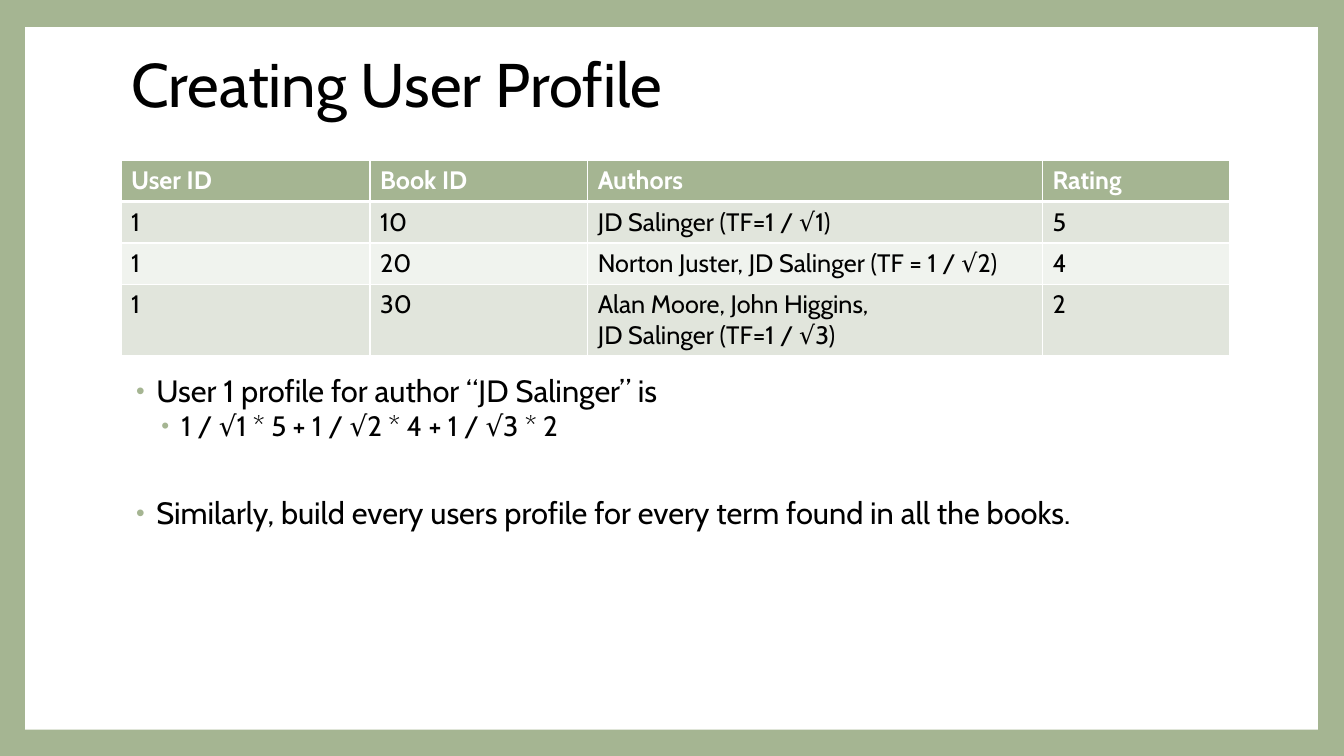
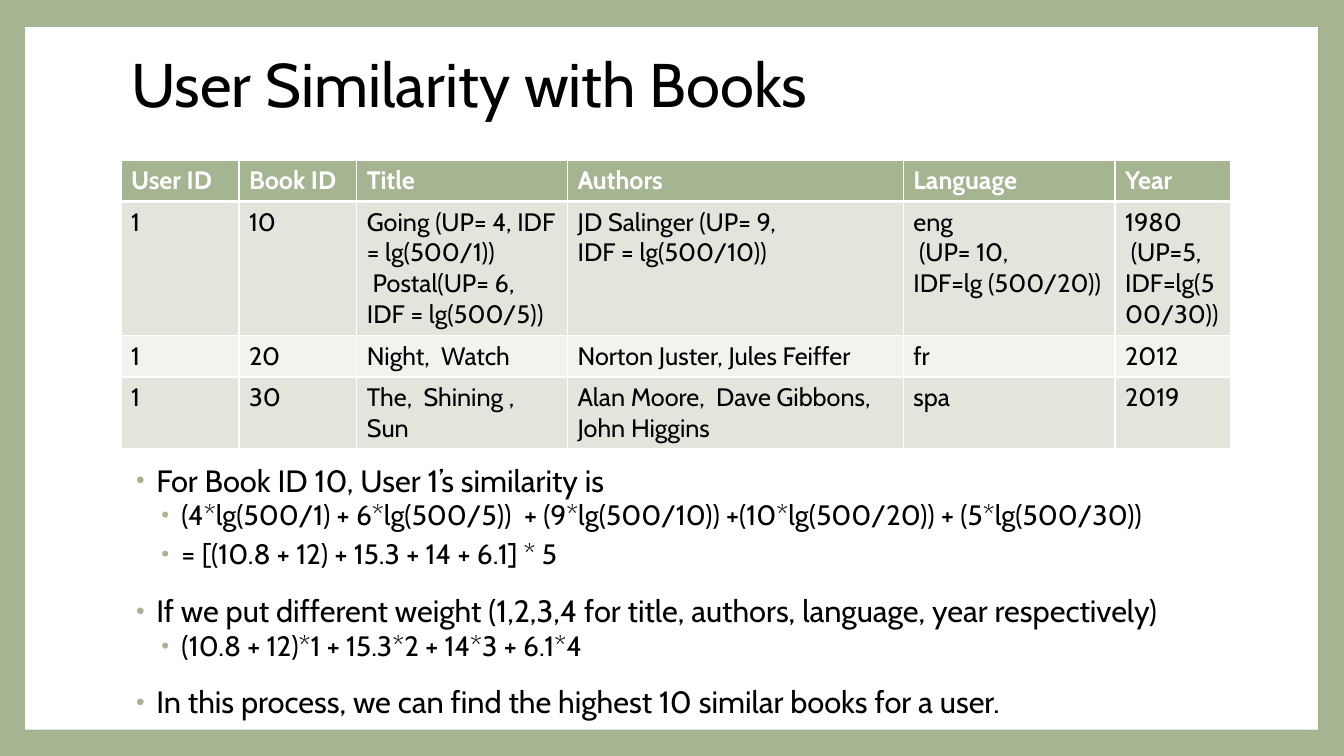
from pptx import Presentation
from pptx import util as u
from pptx.dml import color
from pptx.enum import shapes, text
from pptx.oxml import parse_xml
from pptx.oxml import ns

SAGE, WHITE, BLACK = "A5B592", "FFFFFF", "000000"
BANDS = ["E1E5DC", "F0F3EE"]
FONT = "Cabin"
LEFT, WIDTH = 1.2, 11
PANEL_BOX = (0.25, 0.27, 12.82, 6.97)
TITLE_BOX = (LEFT, 0.31, WIDTH, 1.11)
TABLE_TOP = 1.59
LEVELS = [
    {"size": 22, "indent": 0.25, "before": 14, "after": 0},
    {"size": 20, "indent": 0.5, "before": 2, "after": 4},
]

SLIDES = [
    {
        "title": "Creating User Profile",
        "columns": [2.47, 2.16, 4.51, 1.86],
        "heights": [0.41, 0.41, 0.41, 0.71],
        "rows": [
            ("User ID", "Book ID", "Authors", "Rating"),
            ("1", "10", "JD Salinger (TF=1 / √1)", "5"),
            ("1", "20", "Norton Juster, JD Salinger (TF = 1 / √2)", "4"),
            ("1", "30", "Alan Moore, John Higgins,\nJD Salinger (TF=1 / √3)", "2"),
        ],
        "points_box": (LEFT, 3.68, 10.93, 3.51),
        "points": [
            (0, "User 1 profile for author “JD Salinger” is", 0),
            (1, "1 / √1 * 5 + 1 / √2 * 4 + 1 / √3 * 2", 22),
            (0, "Similarly, build every users profile for every term found in all the books.", 0),
        ],
    },
    {
        "title": "User Similarity with Books",
        "columns": [1.17, 1.17, 2.09, 3.33, 2.1, 1.15],
        "heights": [0.41, 1.33, 0.41, 0.71],
        "rows": [
            ("User ID", "Book ID", "Title", "Authors", "Language", "Year"),
            ("1", "10", "Going (UP= 4, IDF = lg(500/1))\n Postal(UP= 6, IDF = lg(500/5))",
             "JD Salinger (UP= 9, \vIDF = lg(500/10))",
             "eng \n (UP= 10,\vIDF=lg (500/20))", "1980\n (UP=5, IDF=lg(500/30))"),
            ("1", "20", "Night,  Watch", "Norton Juster, Jules Feiffer", "fr", "2012"),
            ("1", "30", "The,  Shining , Sun",
             "Alan Moore,  Dave Gibbons, John Higgins", "spa", "2019"),
        ],
        "points_box": (LEFT, 4.57, WIDTH, 2.64),
        "points": [
            (0, "For Book ID 10, User 1’s similarity is", 0),
            (1, "(4*lg(500/1) + 6*lg(500/5))  + (9*lg(500/10)) +(10*lg(500/20)) + (5*lg(500/30))", 0),
            (1, "= [(10.8 + 12) + 15.3 + 14 + 6.1] * 5", 0),
            (0, "If we put different weight (1,2,3,4 for title, authors, language, year respectively)", 0),
            (1, "(10.8 + 12)*1 + 15.3*2 + 14*3 + 6.1*4", 0),
            (0, "In this process, we can find the highest 10 similar books for a user.", 0),
        ],
    },
]


def rgb(value):
    return color.RGBColor.from_string(value)


def box(values):
    return [u.Inches(value) for value in values]


def assign(target, values):
    for name, value in values.items():
        setattr(target, name, value)


def paint(fill, value):
    fill.solid()
    fill.fore_color.rgb = rgb(value)


def style_font(font, size, value, bold=False):
    assign(font, {"name": FONT, "size": u.Pt(size), "bold": bold})
    font.color.rgb = rgb(value)


def place(holder, values):
    assign(holder, dict(zip(("left", "top", "width", "height"), box(values))))


def element(body):
    return parse_xml(body.replace(">", f" {ns.nsdecls('a')}>", 1))


def add_bullet(paragraph, indent):
    properties = paragraph._p.get_or_add_pPr()
    properties.set("marL", str(u.Inches(indent)))
    properties.set("indent", str(u.Inches(-0.2)))
    for body in (f'<a:buClr><a:srgbClr val="{SAGE}"/></a:buClr>',
                 '<a:buSzPct val="80000"></a:buSzPct>',
                 '<a:buChar char="•"></a:buChar>'):
        properties.append(element(body))


def add_borders(cell, row):
    widths = {"L": 1, "R": 1, "T": 3 if row == 1 else 1, "B": 3 if row == 0 else 1}
    for side, width in widths.items():
        cell._tc.get_or_add_tcPr().append(element(
            f'<a:ln{side} w="{u.Pt(width)}"><a:solidFill><a:srgbClr val="{WHITE}"/>'
            f'</a:solidFill></a:ln{side}>'))


def add_title(slide, wording):
    title = slide.shapes.title
    place(title, TITLE_BOX)
    title.text_frame.text = wording
    assign(title.text_frame, {"vertical_anchor": text.MSO_ANCHOR.MIDDLE,
                              "auto_size": text.MSO_AUTO_SIZE.NONE})
    heading = title.text_frame.paragraphs[0]
    assign(heading, {"alignment": text.PP_ALIGN.LEFT, "line_spacing": 0.9})
    style_font(heading.runs[0].font, 44, BLACK)


def add_ratings(slide, content):
    rows, columns, heights = content["rows"], content["columns"], content["heights"]
    ratings = slide.shapes.add_table(
        len(rows), len(columns), *box((LEFT, TABLE_TOP, sum(columns), sum(heights)))).table
    for column, width in zip(ratings.columns, columns):
        column.width = u.Inches(width)
    for r, (row, height) in enumerate(zip(rows, heights)):
        ratings.rows[r].height = u.Inches(height)
        header = r == 0
        for c, wording in enumerate(row):
            cell = ratings.cell(r, c)
            cell.text_frame.text = wording
            add_borders(cell, r)
            paint(cell.fill, SAGE if header else BANDS[(r - 1) % 2])
            for paragraph in cell.text_frame.paragraphs:
                for run in paragraph.runs:
                    style_font(run.font, 18, WHITE if header else BLACK, header)


def add_points(slide, content):
    points = slide.placeholders[1]
    place(points, content["points_box"])
    frame = points.text_frame
    frame.text = "\n".join(wording for _, wording, _ in content["points"])
    assign(frame, {"vertical_anchor": text.MSO_ANCHOR.TOP,
                   "auto_size": text.MSO_AUTO_SIZE.NONE})
    for paragraph, (level, _, gap) in zip(frame.paragraphs, content["points"]):
        look = LEVELS[level]
        assign(paragraph, {"level": level, "line_spacing": 0.9,
                           "space_before": u.Pt(look["before"]),
                           "space_after": u.Pt(look["after"] + gap)})
        add_bullet(paragraph, look["indent"])
        style_font(paragraph.runs[0].font, look["size"], BLACK)


def add_panel(master, slide):
    paint(master.background.fill, SAGE)
    panel = slide.shapes.add_shape(shapes.MSO_SHAPE.RECTANGLE, *box(PANEL_BOX))
    panel.shadow.inherit = False
    paint(panel.fill, WHITE)
    panel.line.fill.background()
    master.shapes._spTree.insert(2, panel._element)


deck = Presentation()
assign(deck, {"slide_width": u.Inches(13.33), "slide_height": u.Inches(7.5)})
for content in SLIDES:
    slide = deck.slides.add_slide(deck.slide_layouts[1])
    add_title(slide, content["title"])
    add_ratings(slide, content)
    add_points(slide, content)
add_panel(deck.slide_master, deck.slides[0])
deck.save("out.pptx")
